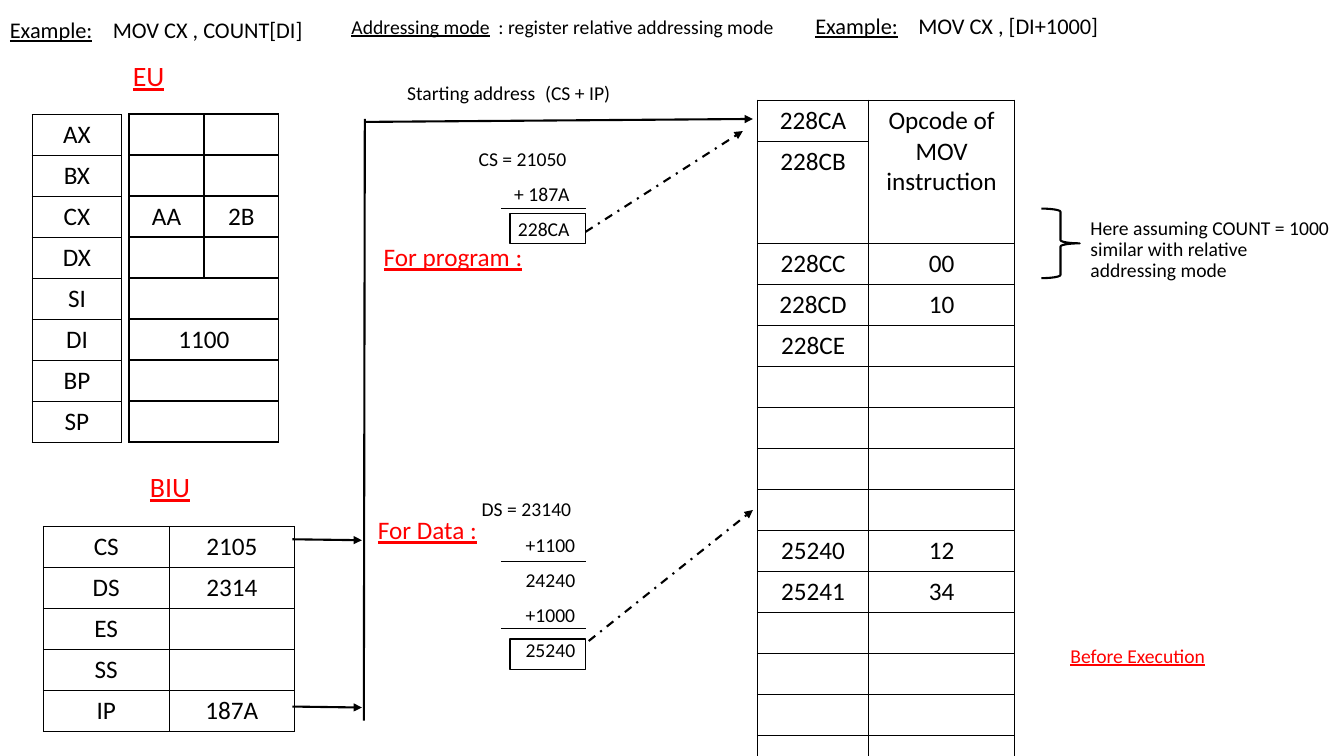
from lxml.etree import SubElement
from pptx import Presentation
from pptx.dml.color import RGBColor
from pptx.enum.dml import MSO_LINE
from pptx.enum.shapes import MSO_CONNECTOR, MSO_SHAPE
from pptx.enum.text import MSO_ANCHOR, PP_ALIGN
from pptx.oxml.ns import qn
from pptx.util import Pt

BLACK = RGBColor(0, 0, 0)
RED = RGBColor(255, 0, 0)
FONT = "Calibri"
ROW_HEIGHT = 29.3

presentation = Presentation()
presentation.slide_width, presentation.slide_height = Pt(960), Pt(540)
slide = presentation.slides.add_slide(presentation.slide_layouts[6])


def add_text(box, lines, size, color=BLACK, spacing=0.9, tab=None, align=PP_ALIGN.LEFT):
    frame = slide.shapes.add_textbox(*map(Pt, box)).text_frame
    frame.word_wrap = True
    for index, runs in enumerate(lines):
        paragraph = frame.add_paragraph() if index else frame.paragraphs[0]
        if tab:
            tab_list = SubElement(paragraph._p.get_or_add_pPr(), qn("a:tabLst"))
            SubElement(tab_list, qn("a:tab"), pos=str(Pt(tab)), algn="l")
        paragraph.line_spacing = spacing
        paragraph.space_before = Pt(10 if index else 0)
        paragraph.alignment = align
        for text, underline in runs:
            run = paragraph.add_run()
            run.text = text
            font_format = {"name": FONT, "size": Pt(size), "underline": underline}
            for name, value in font_format.items():
                setattr(run.font, name, value)
            run.font.color.rgb = color
    return frame


def add_grid(left, top, widths, rows, merges=(), heights=None):
    heights = heights or [ROW_HEIGHT] * len(rows)
    table = slide.shapes.add_table(
        len(rows), len(widths), Pt(left), Pt(top), Pt(sum(widths)), Pt(sum(heights))
    ).table
    table.first_row = table.horz_banding = False
    for column, width in zip(table.columns, widths):
        column.width = Pt(width)
    for row, height in zip(table.rows, heights):
        row.height = Pt(height)
    for row_index, texts in enumerate(rows):
        for column_index, text in enumerate(texts):
            cell = table.cell(row_index, column_index)
            properties = cell._tc.get_or_add_tcPr()
            for side in ("lnL", "lnR", "lnT", "lnB"):
                border = SubElement(properties, qn(f"a:{side}"), w=str(Pt(1)))
                fill = SubElement(border, qn("a:solidFill"))
                SubElement(fill, qn("a:srgbClr"), val=str(BLACK))
            cell.fill.background()
            paragraph = cell.text_frame.paragraphs[0]
            paragraph.alignment = PP_ALIGN.CENTER
            if text:
                run = paragraph.add_run()
                run.text = text
                run.font.name, run.font.size = FONT, Pt(18)
                run.font.color.rgb = BLACK
    for start, end in merges:
        table.cell(*start).merge(table.cell(*end))


examples = [
    (0, 10, "MOV CX , COUNT[DI]"),
    (575.3, 7.2, "MOV CX , [DI+1000]"),
]
for left, top, instruction in examples:
    add_text((left, top, 283.7, 31), [[("Example:", True), ("\t" + instruction, False)]], 16, tab=73.6)
add_text(
    (244, 11.5, 348.5, 30),
    [[("Addressing mode", True), ("\t: register relative addressing mode", False)]],
    14, spacing=0.7, tab=105,
)

headings = [
    ((87.8, 41, 40.5, 30), "EU", 20),
    ((100, 334.8, 47.5, 29.5), "BIU", 20),
    ((267, 171.4, 188.6, 43), "For program :", 18),
    ((262.8, 366.5, 188.6, 43), "For Data :", 18),
    ((757.5, 458, 188.6, 43), "Before Execution", 14),
]
for box, text, size in headings:
    add_text(box, [[(text, True)]], size, RED)

registers = ["AX", "BX", "CX", "DX", "SI", "DI", "BP", "SP"]
add_grid(23, 82, [64], [[register] for register in registers])
register_values = [["", ""] for register in registers]
register_values[2] = ["AA", "2B"]
register_values[5][0] = "1100"
add_grid(92.2, 81.5, [53.5, 53.5], register_values, [((row, 0), (row, 1)) for row in range(4, 8)])

segments = [["CS", "2105"], ["DS", "2314"], ["ES", ""], ["SS", ""], ["IP", "187A"]]
add_grid(31, 376, [89.8, 89.8], segments)

blank = ["", ""]
memory = [
    ["228CA", "Opcode of MOV instruction"],
    ["228CB", ""],
    ["228CC", "00"],
    ["228CD", "10"],
    ["228CE", ""],
    *[blank] * 4,
    ["25240", "12"],
    ["25241", "34"],
    *[blank] * 4,
]
memory_heights = [ROW_HEIGHT, 72.9] + [ROW_HEIGHT] * 13
add_grid(541, 71.6, [79.6, 104], memory, [((0, 1), (1, 1))], memory_heights)

add_text((283.7, 56.2, 238, 43), [[("Starting address\t(CS + IP)", False)]], 14, tab=98.6)
add_text(
    (771.8, 152.5, 188.6, 43),
    [[("Here assuming COUNT = 1000 similar with relative addressing mode", False)]], 14,
)

sums = [
    ((334.8, 103, 79.2, 89), ["CS = 21050", "+ 187A", "228CA"]),
    ((337, 353.5, 81, 137.5), ["DS = 23140", "+1100", "24240", "+1000", "25240"]),
]
for box, terms in sums:
    frame = add_text(box, [[(term, False)] for term in terms], 14, align=PP_ALIGN.RIGHT)
    frame.paragraphs[0].alignment = PP_ALIGN.LEFT

SOLID, DASHED = MSO_LINE.SOLID, MSO_LINE.DASH_DOT
lines = [
    (208.8, 504.7, 258.5, 505.4, 1.5, SOLID, True),
    (208.8, 385.2, 258.5, 385.9, 1.5, SOLID, True),
    (260.6, 87.1, 537.8, 85, 1.5, SOLID, True),
    (260.6, 85, 259.9, 514.8, 1.5, SOLID, False),
    (418.3, 165.6, 530.6, 93.6, 1.5, DASHED, True),
    (420.5, 457.9, 537.8, 364.3, 1.5, DASHED, True),
]
lines += [(357.8, top, 418.3, top, 0.5, SOLID, False) for top in (149, 401, 448.6)]
for *ends, weight, dash, arrow in lines:
    connector = slide.shapes.add_connector(MSO_CONNECTOR.STRAIGHT, *map(Pt, ends))
    connector.line.color.rgb = BLACK
    connector.line.width = Pt(weight)
    connector.line.dash_style = dash
    if arrow:
        SubElement(connector.line._get_or_add_ln(), qn("a:tailEnd"), type="triangle")
    SubElement(connector._element.spPr, qn("a:effectLst"))

outlines = [
    (MSO_SHAPE.RIGHT_BRACE, (743.8, 149, 27.4, 49.7), 1.5),
    (MSO_SHAPE.RECTANGLE, (364.3, 152.6, 54, 21.6), 1),
    (MSO_SHAPE.RECTANGLE, (364.3, 456.5, 54, 21.6), 1),
]
for kind, box, weight in outlines:
    shape = slide.shapes.add_shape(kind, *map(Pt, box))
    shape.shadow.inherit = False
    shape.fill.background()
    shape.line.color.rgb = BLACK
    shape.line.width = Pt(weight)

presentation.save("out.pptx")
